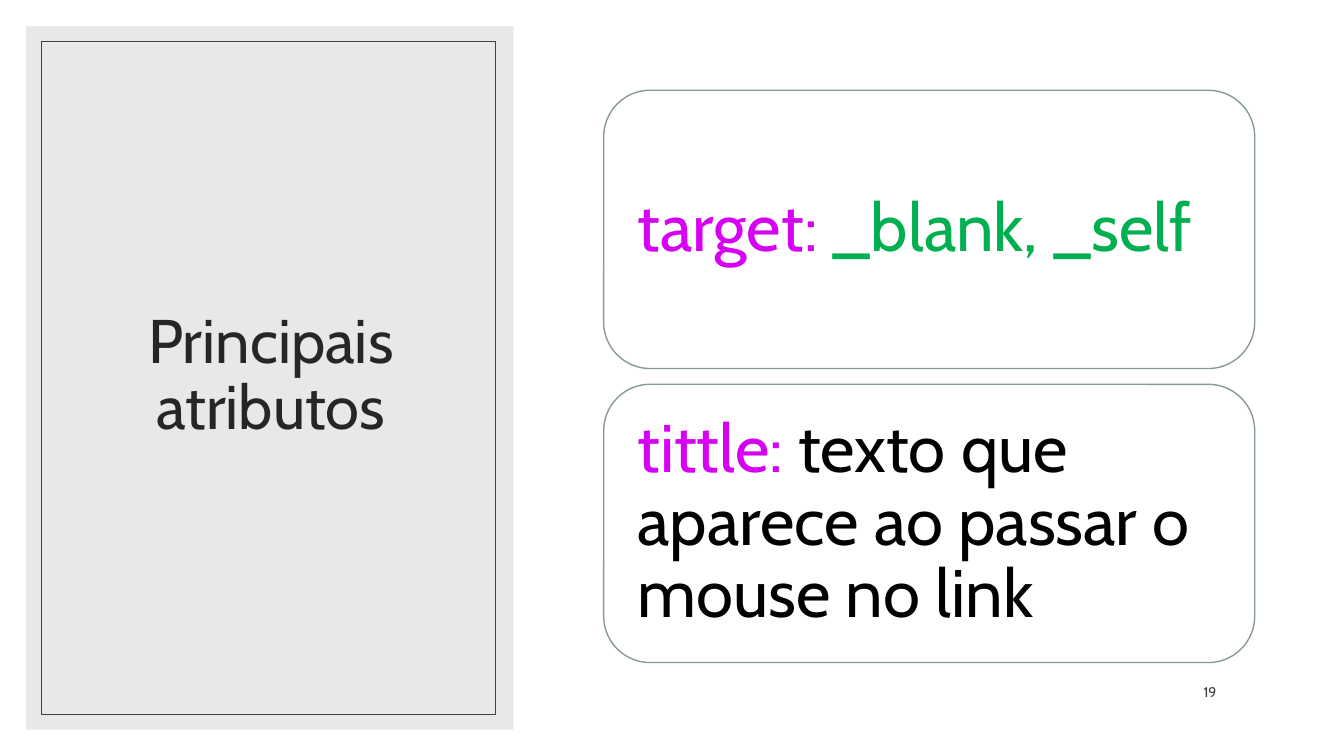
import pptx
import pptx.util
import pptx.dml.color
import pptx.enum.shapes
import pptx.enum.text
import pptx.oxml.ns
from lxml import etree

PX = 9525
FONT = "Cabin"
HUES = {
    "white": "FFFFFF", "panel": "D9D9D9", "title": "262626", "frame": "404040",
    "edge": "889999", "name": "D600F2", "value": "00B050", "text": "000000",
}
KINDS = pptx.enum.shapes.MSO_SHAPE
ALIGN = pptx.enum.text.PP_ALIGN
ANCHOR = pptx.enum.text.MSO_ANCHOR


def hue(name):
    """Return the named colour."""
    return pptx.dml.color.RGBColor.from_string(HUES[name])


def scale(box):
    """Turn a box in px into EMU."""
    return [n * PX for n in box]


def add_box(slide, kind, box, fill=None, line=None, width=1):
    """Add a flat shape with an optional fill and outline."""
    shape = slide.shapes.add_shape(kind, *scale(box))
    shape.shadow.inherit = False
    if fill:
        shape.fill.solid()
        shape.fill.fore_color.rgb = hue(fill)
    else:
        shape.fill.background()
    if line:
        shape.line.color.rgb = hue(line)
        shape.line.width = pptx.util.Pt(width)
    else:
        shape.line.fill.background()
    return shape


def fade(shape, percent):
    """Set the opacity of a solid fill."""
    clr = shape.fill._xPr.find(".//" + pptx.oxml.ns.qn("a:srgbClr"))
    etree.SubElement(clr, pptx.oxml.ns.qn("a:alpha"), val=str(percent * 1000))


def write(shape, runs, size, align, anchor, space=1.0):
    """Write one paragraph of coloured runs into a shape."""
    frame = shape.text_frame
    frame.word_wrap = True
    frame.vertical_anchor = anchor
    para = frame.paragraphs[0]
    para.alignment = align
    para.line_spacing = space
    para.font.name = FONT
    para.font.size = pptx.util.Pt(size)
    for text, name in runs:
        run = para.add_run()
        run.text = text
        run.font.color.rgb = hue(name)


def add_text(slide, box, text, name, *style):
    """Add a text box in one colour."""
    write(slide.shapes.add_textbox(*scale(box)), [(text, name)], *style)


def add_card(slide, top, runs):
    """Add a rounded card with its text."""
    card = add_box(slide, KINDS.ROUNDED_RECTANGLE, (575, top, 620, 265), "white", "edge")
    frame = card.text_frame
    frame.margin_left = frame.margin_right = pptx.util.Inches(0.2)
    frame.margin_top = frame.margin_bottom = pptx.util.Inches(0.2)
    write(card, runs, 48, ALIGN.LEFT, ANCHOR.MIDDLE, 0.9)


def main():
    """Build the slide and save it."""
    deck = pptx.Presentation()
    deck.slide_width, deck.slide_height = scale((1280, 720))
    slide = deck.slides.add_slide(deck.slide_layouts[6])
    slide.background.fill.solid()
    slide.background.fill.fore_color.rgb = hue("white")

    panel = add_box(slide, KINDS.RECTANGLE, (25, 25, 464, 670), "panel")
    fade(panel, 60)
    add_text(slide, (60, 59, 396, 599), "Principais atributos", "title",
             44, ALIGN.CENTER, ANCHOR.MIDDLE, 0.9)
    add_box(slide, KINDS.RECTANGLE, (39, 39, 433, 641), line="frame", width=0.5)

    cards = [
        [("target: ", "name"), ("_blank, _self", "value")],
        [("tittle:", "name"), (" texto que aparece ao passar o mouse no link", "text")],
    ]
    for i, runs in enumerate(cards):
        add_card(slide, 86 + 280 * i, runs)

    add_text(slide, (1080, 634, 88, 38), "19", "frame", 10, ALIGN.RIGHT, ANCHOR.BOTTOM)
    deck.save("out.pptx")


if __name__ == "__main__":
    main()
